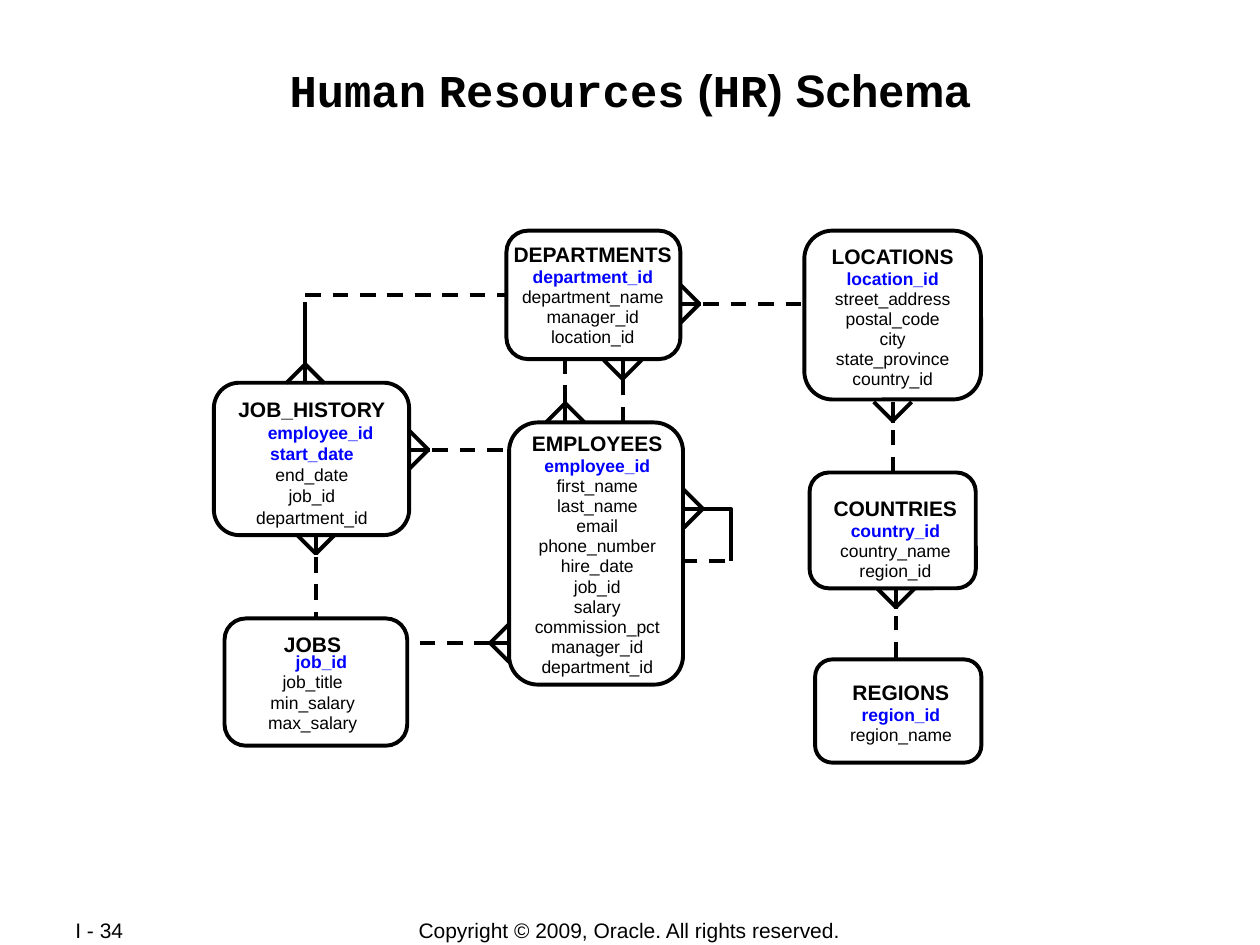
import pptx
import pptx.dml.color
import pptx.enum.dml
import pptx.enum.shapes
import pptx.enum.text
import pptx.oxml.ns
import pptx.util

Pt = pptx.util.Pt
ALIGN = pptx.enum.text.PP_ALIGN
ANCHOR = pptx.enum.text.MSO_ANCHOR
BLACK, KEY_BLUE = "000000", "0000FF"
FOOT = 10.8
RIGHT, LEFT, DOWN, UP = (1, 0), (-1, 0), (0, 1), (0, -1)

ENTITIES = {
    "DEPARTMENTS": dict(
        box=(289.4, 131.8, 99.4, 73.4), inner=(-17.8, 6.2, 134.3, 59), keys=["department_id"],
        fields=["department_name", "manager_id", "location_id"]),
    "LOCATIONS": dict(
        box=(459.6, 131.8, 101, 96.5), inner=(-8, 7.2, 117, 77), keys=["location_id"],
        fields=["street_address", "postal_code", "city", "state_province", "country_id"]),
    "COUNTRIES": dict(
        box=(462.6, 270, 95, 66.2), inner=(-6.6, 13, 111.3, 49), keys=["country_id"],
        fields=["country_name", "region_id"]),
    "REGIONS": dict(
        box=(465.8, 376.8, 95, 59), inner=(-3.4, 11.2, 104.8, 34.6), keys=["region_id"],
        fields=["region_name"]),
    "EMPLOYEES": dict(
        box=(290.9, 241.4, 99.4, 149.8), inner=(-28.6, 4.4, 158, 140.4), keys=["employee_id"],
        fields=["first_name", "last_name", "email", "phone_number", "hire_date", "job_id",
                "salary", "commission_pct", "manager_id", "department_id"]),
    "JOB_HISTORY": dict(
        box=(122.2, 218.7, 111.6, 87.1), inner=(-2.5, 4.4, 117, 77),
        keys=["employee_id", "start_date"], fields=["end_date", "job_id", "department_id"],
        key_beside_name=True, name_spacing=1.0, spacing=0.8),
    "JOBS": dict(
        box=(128.3, 353.4, 104.4, 72.7), inner=(-2.1, 7.2, 104.8, 59), keys=["job_id"],
        fields=["job_title", "min_salary", "max_salary"], key_beside_name=True),
}


def color(hex_value):
    """Turn a hex string into a colour."""
    return pptx.dml.color.RGBColor.from_string(hex_value)


def apply(target, values):
    """Set each named attribute on the target."""
    for name, value in values.items():
        setattr(target, name, value)


def add_run(paragraph, text, size, hex_value=BLACK, bold=False, face="Arial"):
    """Append a formatted run."""
    run = paragraph.add_run()
    run.text = text
    apply(run.font, dict(size=Pt(size), bold=bold, name=face))
    run.font.color.rgb = color(hex_value)


def add_text_frame(slide, box, **values):
    """Add a text box and return its formatted frame."""
    frame = slide.shapes.add_textbox(*map(Pt, box)).text_frame
    apply(frame, values)
    return frame


def add_outline(shape):
    """Leave a shape unfilled, with a black line and no shadow."""
    shape.shadow.inherit = False
    shape.fill.background()
    shape.line.color.rgb = color(BLACK)
    shape.line.width = Pt(2.25)


def add_line(slide, begin, end, dashed=False, begin_at=None, end_at=None):
    """Draw a straight line, joined to (entity, site) pairs where given."""
    line = slide.shapes.add_connector(
        pptx.enum.shapes.MSO_CONNECTOR.STRAIGHT, *map(Pt, (*begin, *end)))
    line.line.color.rgb = color(BLACK)
    line.line.width = Pt(2.25)
    if dashed:
        line.line.dash_style = pptx.enum.dml.MSO_LINE.DASH
    properties = line._element.spPr
    properties.append(properties.makeelement(pptx.oxml.ns.qn("a:effectLst"), {}))
    if begin_at:
        line.begin_connect(*begin_at)
    if end_at:
        line.end_connect(*end_at)


def add_entity(slide, name, box, inner, keys, fields, key_beside_name=False,
               name_spacing=0.75, spacing=0.75):
    """Draw one table of the schema with its name, keys and columns."""
    outline = slide.shapes.add_shape(
        pptx.enum.shapes.MSO_SHAPE.FLOWCHART_ALTERNATE_PROCESS, *map(Pt, box))
    add_outline(outline)
    left, top, width, height = inner
    frame = add_text_frame(slide, (box[0] + left, box[1] + top, width, height), word_wrap=True)
    heading = frame.paragraphs[0]
    add_run(heading, name, 12, bold=True)
    columns = [(key, KEY_BLUE, True) for key in keys] + [(field, BLACK, False) for field in fields]
    if key_beside_name:
        heading.add_line_break()
        add_run(heading, columns[0][0], 10, *columns[0][1:])
        columns = columns[1:]
    for column, hex_value, bold in columns:
        add_run(frame.add_paragraph(), column, 10, hex_value, bold)
    for index, paragraph in enumerate(frame.paragraphs):
        apply(paragraph, dict(alignment=ALIGN.CENTER,
                              line_spacing=spacing if index else name_spacing,
                              space_before=Pt(2.5 if index else 0)))
        indent = paragraph._p.get_or_add_pPr()
        indent.set("marL", str(Pt(10)))
        indent.set("indent", str(Pt(-10)))
    return outline


def add_relation(slide, base, direction, dash=None, begin_at=None, end_at=None):
    """Draw a crow's foot at the base and a dash between two distances from it."""
    def point(along, across=0):
        dx, dy = direction
        return base[0] + dx * along + dy * across, base[1] + dy * along + dx * across

    for across in (-FOOT, FOOT):
        add_line(slide, point(FOOT), point(0, across))
    add_line(slide, point(FOOT + 1), base)
    if dash:
        add_line(slide, point(dash[0]), point(dash[1]), True, begin_at, end_at)


def add_relations(slide, entities):
    """Link the tables of the schema."""
    add_relation(slide, (388.9, 173.6), RIGHT, (13, 72.5))
    add_relation(slide, (234, 257), RIGHT, (13, 55.5))
    add_relation(slide, (290.9, 367.4), LEFT, (10.8, 59))
    add_relation(slide, (355.8, 205.8), DOWN, (35.5, 11))
    add_relation(slide, (323, 241.2), UP, (12, 36))
    add_relation(slide, (510.1, 229.7), DOWN, (40.3, 15.8),
                 begin_at=(entities["COUNTRIES"], 0))
    add_relation(slide, (512, 336.2), DOWN, (39.7, 16))
    add_relation(slide, (180.5, 305.6), DOWN, (12.7, 47.8), end_at=(entities["JOBS"], 0))

    add_relation(slide, (174.4, 218.9), UP)
    add_line(slide, (174.4, 218.9), (174.4, 172.8))
    add_line(slide, (174.4, 168.5), (289.4, 168.5), True, end_at=(entities["DEPARTMENTS"], 1))

    add_relation(slide, (390.8, 290.7), RIGHT)
    manager_loop = slide.shapes.build_freeform(Pt(390.8), Pt(290.7), scale=1.0)
    manager_loop.add_line_segments([(Pt(417.6), Pt(290.7)), (Pt(417.6), Pt(320.6))], close=False)
    add_outline(manager_loop.convert_to_shape())
    add_line(slide, (414, 320.6), (390.3, 320.6), True)


def add_title(slide, box):
    """Write the slide title in its two typefaces."""
    margins = dict.fromkeys(("margin_left", "margin_top", "margin_right", "margin_bottom"), Pt(0.9))
    title = add_text_frame(slide, box, word_wrap=True, **margins).paragraphs[0]
    title.alignment = ALIGN.CENTER
    for text, face in (("Human", "Courier New"), (" ", "Arial"), ("Resources", "Courier New"),
                       (" (", "Arial"), ("HR", "Courier New"), (") Schema", "Arial")):
        add_run(title, text, 26, bold=True, face=face)


def add_footer(slide, box, text, alignment):
    """Write one footer entry."""
    frame = add_text_frame(slide, box, word_wrap=True, vertical_anchor=ANCHOR.MIDDLE)
    frame.paragraphs[0].alignment = alignment
    add_run(frame.paragraphs[0], text, 12)


def main():
    """Build and save the schema slide."""
    presentation = pptx.Presentation()
    apply(presentation, dict(slide_width=Pt(720), slide_height=Pt(540)))
    slide = presentation.slides.add_slide(presentation.slide_layouts[6])
    add_title(slide, (48.2, 34.6, 623.5, 69))
    entities = {name: add_entity(slide, name, **parts) for name, parts in ENTITIES.items()}
    add_relations(slide, entities)
    add_footer(slide, (198, 524.2, 323.3, 15), "Copyright © 2009, Oracle. All rights reserved.",
               ALIGN.CENTER)
    add_footer(slide, (36, 524.2, 76.3, 14.5), "I - 34", ALIGN.LEFT)
    presentation.save("out.pptx")


if __name__ == "__main__":
    main()
